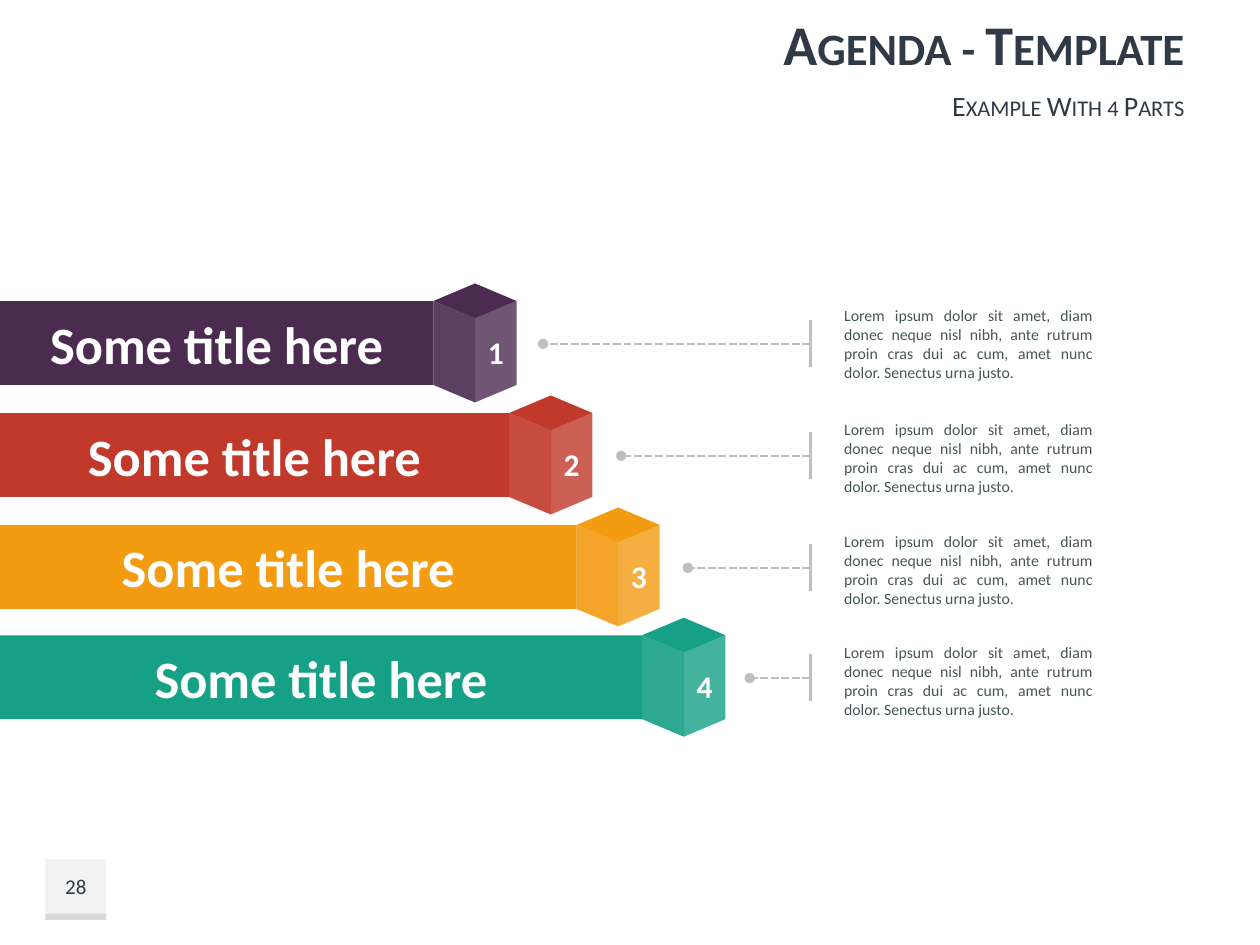
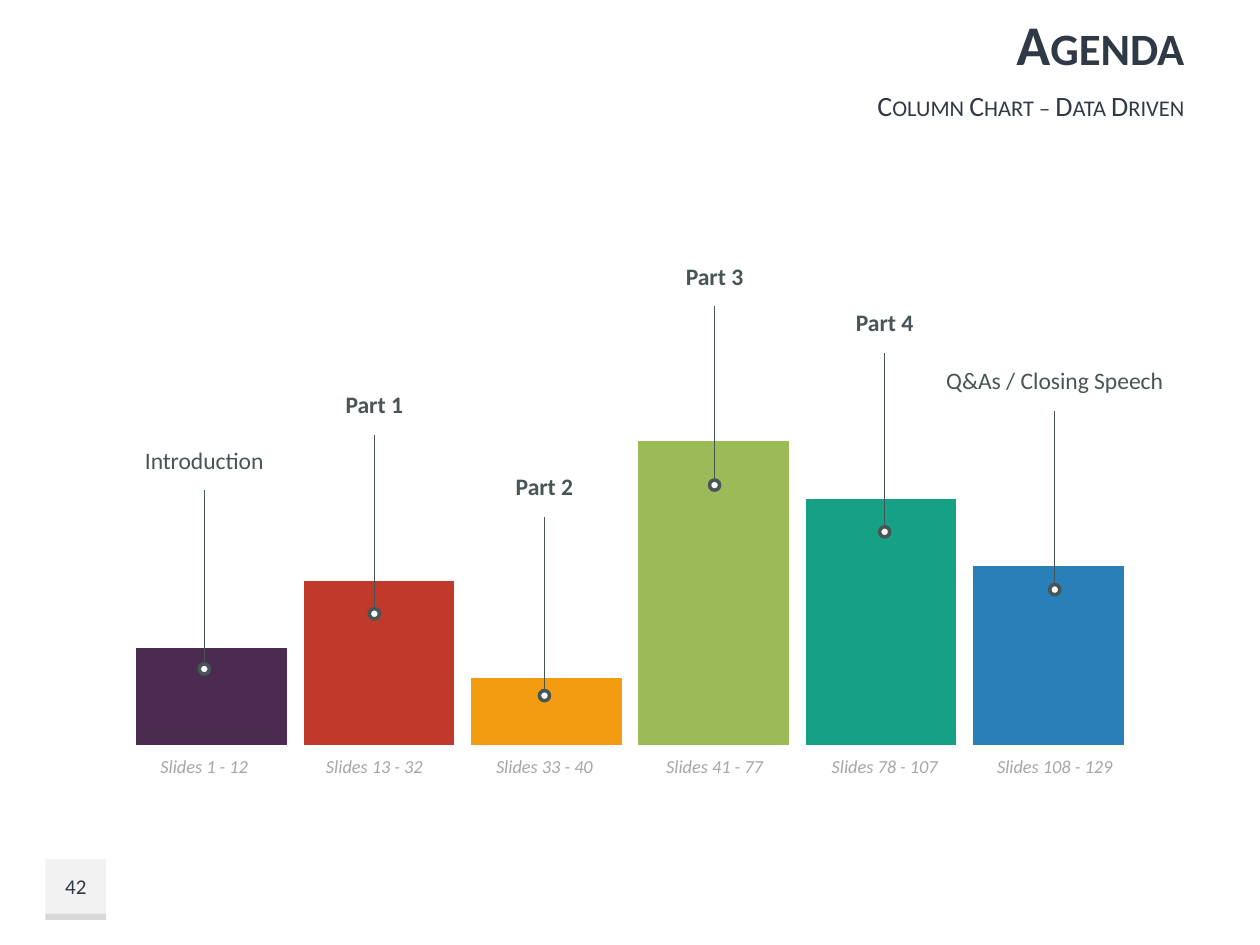
"""Build two agenda slides: a four-part list and a data-driven column chart."""
from dataclasses import dataclass

from lxml import etree
from pptx import Presentation
from pptx import util as u
from pptx.chart.data import CategoryChartData
from pptx.dml.color import RGBColor
from pptx.enum import chart as charts
from pptx.enum import dml, shapes, text
from pptx.oxml import ns


@dataclass(frozen=True)
class Theme:
    font: str = "Calibri"
    heading: str = "2F3A46"
    body: str = "485556"
    muted: str = "A6A6A6"
    chart_text: str = "95A5A6"
    leader: str = "BFBFBF"
    badge: str = "F2F2F2"
    badge_edge: str = "D9D9D9"
    white: str = "FFFFFF"
    purple: str = "4B2C50"
    red: str = "C0392B"
    orange: str = "F39C12"
    green: str = "9BBB59"
    teal: str = "16A085"
    blue: str = "2980B9"
    title_size: float = 32
    subtitle_size: float = 16
    band_size: float = 30
    number_size: float = 18
    label_size: float = 13.5
    page_size: float = 12
    range_size: float = 10.5
    chart_size: float = 10
    note_size: float = 9


THEME = Theme()
CENTER, RIGHT, JUSTIFY = text.PP_ALIGN.CENTER, text.PP_ALIGN.RIGHT, text.PP_ALIGN.JUSTIFY
TOP, MIDDLE, BOTTOM = text.MSO_ANCHOR.TOP, text.MSO_ANCHOR.MIDDLE, text.MSO_ANCHOR.BOTTOM
NOTE = ("Lorem ipsum dolor sit amet, diam donec neque nisl nibh, ante rutrum proin "
        "cras dui ac cum, amet nunc dolor. Senectus urna justo.")


def rgb(color):
    return RGBColor.from_string(color)


def points(*lengths):
    return [u.Pt(length) for length in lengths]


def write(frame, content, size, color=THEME.body, bold=False, italic=False, small_caps=False,
          align=CENTER, anchor=MIDDLE, wrap=True, inset=None):
    frame.auto_size = text.MSO_AUTO_SIZE.NONE
    frame.word_wrap = wrap
    frame.vertical_anchor = anchor
    if inset is not None:
        frame.margin_left = frame.margin_right = u.Pt(inset)
        frame.margin_top = frame.margin_bottom = u.Pt(inset)
    paragraph = frame.paragraphs[0]
    paragraph.alignment = align
    paragraph.space_before = u.Pt(0)
    run = paragraph.add_run()
    run.text = content
    run.font.name, run.font.size = THEME.font, u.Pt(size)
    run.font.bold, run.font.italic = bold, italic
    run.font.color.rgb = rgb(color)
    if small_caps:
        run._r.get_or_add_rPr().set("cap", "small")


class Deck:
    def __init__(self):
        self.presentation = Presentation()
        self.presentation.slide_width, self.presentation.slide_height = points(720, 540)
        self.slide = None

    def start(self, title, subtitle, page):
        self.slide = self.presentation.slides.add_slide(self.presentation.slide_layouts[0])
        heading, subheading = self.slide.placeholders
        for part, top, height in ((heading, 0, 49), (subheading, 49, 22.3)):
            part.left, part.top, part.width, part.height = points(229.7, top, 454.3, height)
        write(heading.text_frame, title, THEME.title_size, THEME.heading, bold=True,
              small_caps=True, align=RIGHT)
        write(subheading.text_frame, subtitle, THEME.subtitle_size, THEME.heading,
              small_caps=True, align=RIGHT)
        self.block(26, 491, 34.6, 34.6, THEME.badge)
        self.block(26, 522, 34.6, 3.6, THEME.badge_edge)
        self.label(26, 491, 34.6, 31, page, size=THEME.page_size, color=THEME.heading, inset=0)

    def paint(self, shape, color, opacity=100, outline=None):
        shape.shadow.inherit = False
        shape.fill.solid()
        shape.fill.fore_color.rgb = rgb(color)
        if opacity < 100:
            tint = shape._element.xpath("./p:spPr/a:solidFill/a:srgbClr")[0]
            etree.SubElement(tint, ns.qn("a:alpha")).set("val", str(opacity * 1000))
        if outline:
            shape.line.color.rgb = rgb(outline)
            shape.line.width = u.Pt(2)
        else:
            shape.line.fill.background()
        return shape

    def block(self, left, top, width, height, color, kind=shapes.MSO_SHAPE.RECTANGLE,
              outline=None):
        shape = self.slide.shapes.add_shape(kind, *points(left, top, width, height))
        return self.paint(shape, color, outline=outline)

    def face(self, corners, color, opacity=100):
        start, *others = [points(*corner) for corner in corners]
        outline = self.slide.shapes.build_freeform(*start)
        outline.add_line_segments(others, close=True)
        return self.paint(outline.convert_to_shape(), color, opacity)

    def label(self, left, top, width, height, content, **style):
        box = self.slide.shapes.add_textbox(*points(left, top, width, height))
        write(box.text_frame, content, **style)

    def line(self, start, end, color, width, dotted=False):
        connector = self.slide.shapes.add_connector(
            shapes.MSO_CONNECTOR.STRAIGHT, *points(*start, *end))
        connector.line.color.rgb = rgb(color)
        connector.line.width = u.Pt(width)
        if dotted:
            connector.line.dash_style = dml.MSO_LINE.SQUARE_DOT
            etree.SubElement(connector.line._get_or_add_ln(), ns.qn("a:tailEnd")).set(
                "type", "oval")
        etree.SubElement(connector._element.spPr, ns.qn("a:effectLst"))
        return connector

    def columns(self, left, top, width, height, values, colors, plot_box):
        data = CategoryChartData()
        data.categories = [str(number) for number in range(1, len(values) + 1)]
        data.add_series("Series 1", values)
        chart = self.slide.shapes.add_chart(
            charts.XL_CHART_TYPE.COLUMN_CLUSTERED, *points(left, top, width, height), data).chart
        chart.has_legend = chart.has_title = False
        chart.font.name, chart.font.size = THEME.font, u.Pt(THEME.chart_size)
        chart.font.color.rgb = rgb(THEME.chart_text)
        chart.value_axis.minimum_scale, chart.value_axis.maximum_scale = 0, 100
        chart.value_axis.has_major_gridlines = False
        chart.value_axis.visible = chart.category_axis.visible = False
        plot = chart.plots[0]
        plot.gap_width, plot.overlap, plot.vary_by_categories = 11, -27, False
        series = plot.series[0]
        series.format.fill.solid()
        series.format.fill.fore_color.rgb = rgb(THEME.blue)
        for index, color in enumerate(colors):
            fill = series.points[index].format.fill
            fill.solid()
            fill.fore_color.rgb = rgb(color)
        self.place_plot(chart, plot_box)

    def place_plot(self, chart, plot_box):
        area = chart._chartSpace.xpath("c:chart/c:plotArea")[0]
        for automatic in area.findall(ns.qn("c:layout")):
            area.remove(automatic)
        layout = etree.Element(ns.qn("c:layout"))
        manual = etree.SubElement(layout, ns.qn("c:manualLayout"))
        settings = [("layoutTarget", "inner"), ("xMode", "edge"), ("yMode", "edge")]
        for tag, value in settings + list(zip("xywh", plot_box)):
            etree.SubElement(manual, ns.qn(f"c:{tag}")).set("val", str(value))
        area.insert(0, layout)


def add_part(deck, number, color, top, reach, dot, note_top):
    height, half, tilt = 48, 23.75, 10
    edge, right, bottom = reach + half, reach + 2 * half, top + height
    band = deck.block(0, top, reach, height, color)
    write(band.text_frame, "Some title here", THEME.band_size, THEME.white, bold=True, inset=3)
    for side, opacity in ((reach, 90), (right, 80)):
        front = deck.face([(edge, bottom + tilt), (side, bottom), (side, top),
                           (edge, top + tilt)], color, opacity)
    write(front.text_frame, str(number), THEME.number_size, THEME.white, bold=True, inset=3)
    deck.face([(edge, top + tilt), (right, top), (edge, top - tilt), (reach, top)], color)
    deck.label(482.4, note_top, 141.8, 44, NOTE, size=THEME.note_size, align=JUSTIFY, inset=0)
    tick, middle = 463, top + 24.5
    deck.line((tick, middle + 13), (tick, middle - 13.5), THEME.leader, 1.5)
    deck.line((tick, middle), (dot, middle), THEME.leader, 1.5, dotted=True)


def add_parts_slide(deck):
    deck.start("Agenda - Template", "Example With 4 Parts", "28")
    parts = [(THEME.purple, 172, 247.7, 310.3, 174.2), (THEME.red, 236, 291, 355, 239.8),
             (THEME.orange, 300, 329.5, 393.1, 303.8), (THEME.teal, 363, 367, 428.4, 367.2)]
    for number, part in enumerate(parts, start=1):
        add_part(deck, number, *part)


def add_columns_slide(deck):
    deck.start("Agenda", "Column Chart – Data Driven", "42")
    sections = [("Introduction", "Slides 1 - 12", 32, THEME.purple, 379.4),
                ("Part 1", "Slides 13 - 32", 54, THEME.red, 347.8),
                ("Part 2", "Slides 33 - 40", 22, THEME.orange, 394.6),
                ("Part 3", "Slides 41 - 77", 100, THEME.green, 274.3),
                ("Part 4", "Slides 78 - 107", 81, THEME.teal, 301),
                ("Q&As / Closing Speech", "Slides 108 - 129", 59, THEME.blue, 334)]
    deck.columns(61.2, 234.7, 597.6, 195.1, [section[2] for section in sections],
                 [section[3] for section in sections], (0.02, 0.09, 0.96, 0.89))
    dot = 5.8
    for index, (name, pages, _, _, top) in enumerate(sections):
        center = 116.7 + 97.2 * index
        marker = deck.block(center - dot / 2, top, dot, dot, THEME.white,
                            shapes.MSO_SHAPE.OVAL, THEME.body)
        stem = deck.line((center, top), (center, top - 99.4), THEME.body, 0.75)
        stem.begin_connect(marker, 0)
        name_width, pages_width = 6.2 * len(name) + 10, 5.1 * len(pages)
        deck.label(center - name_width / 2, top - 128.9, name_width, 23.8, name,
                   size=THEME.label_size, bold=name.startswith("Part"), anchor=BOTTOM, wrap=False)
        deck.label(center - pages_width / 2, 427.7, pages_width, 20.2, pages,
                   size=THEME.range_size, color=THEME.muted, italic=True, anchor=TOP, wrap=False)


def main():
    deck = Deck()
    add_parts_slide(deck)
    add_columns_slide(deck)
    deck.presentation.save("out.pptx")


if __name__ == "__main__":
    main()
